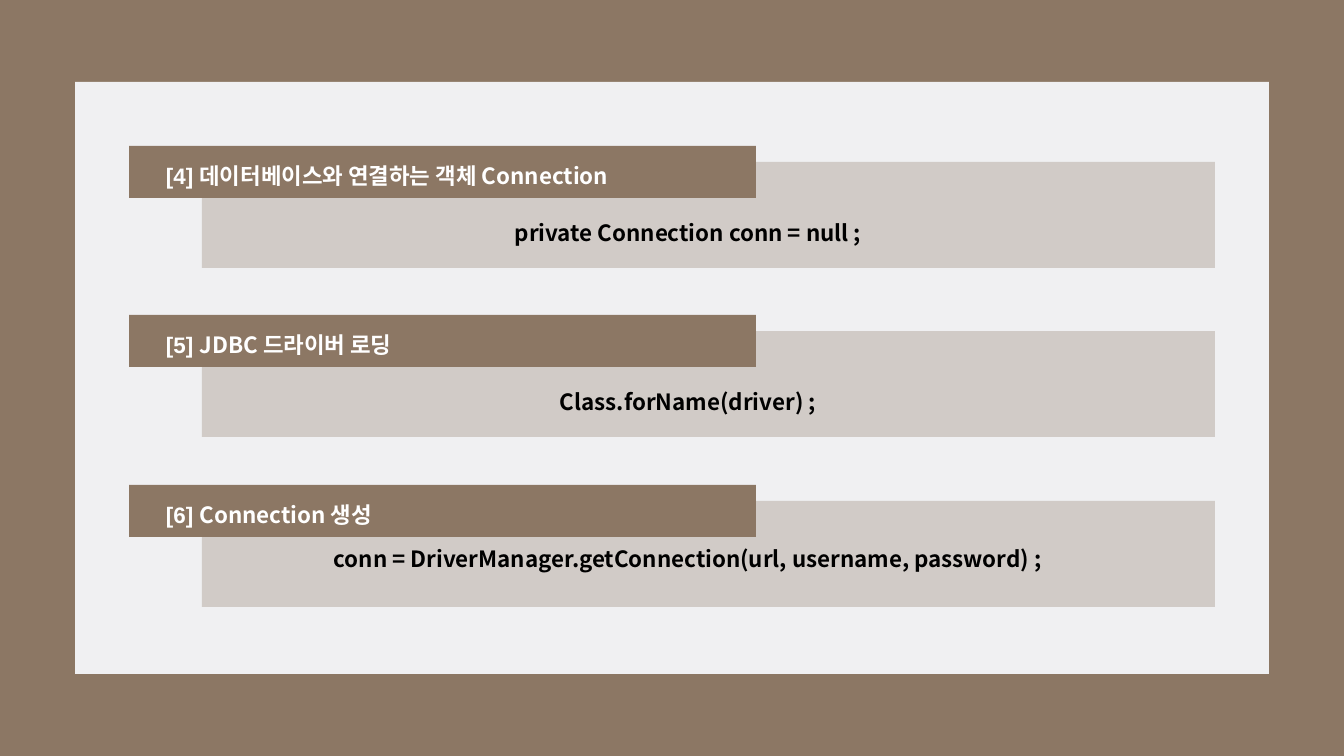
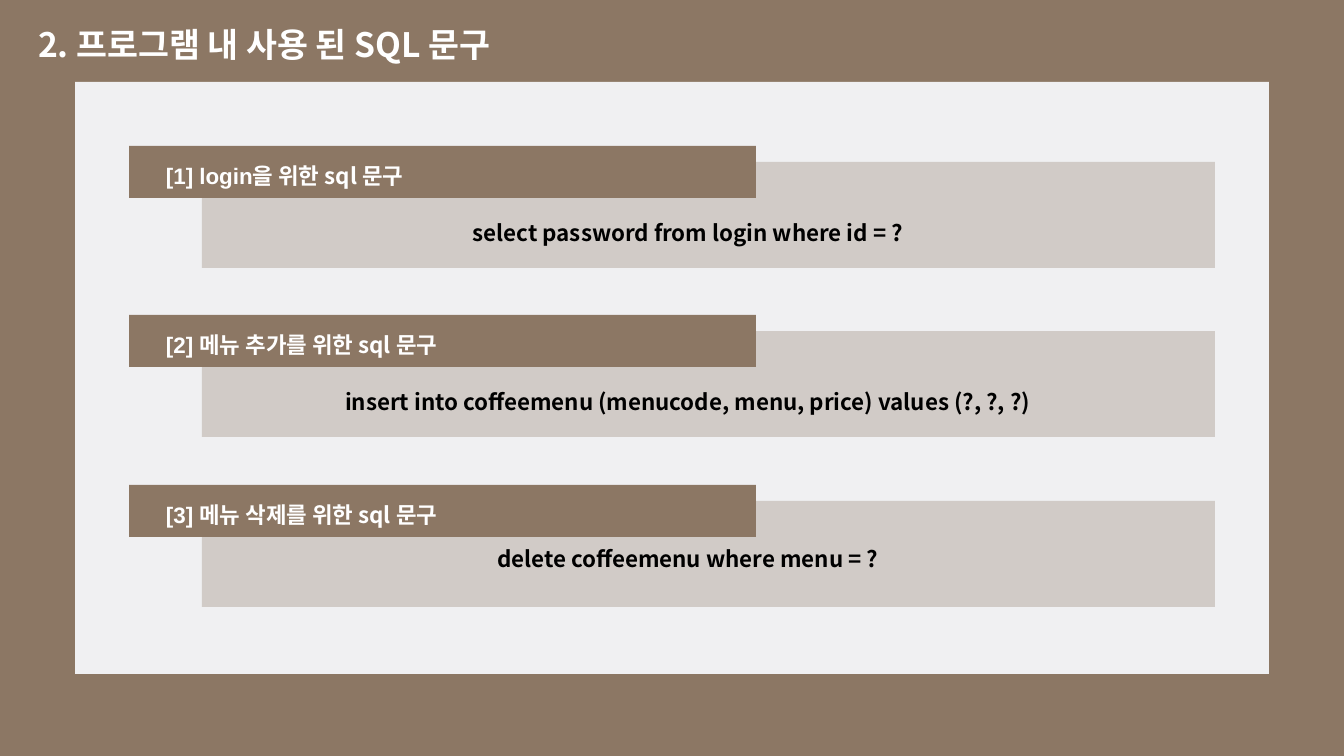
from lxml import etree
from pptx import Presentation
from pptx.dml.color import RGBColor
from pptx.enum.shapes import MSO_SHAPE
from pptx.enum.text import MSO_ANCHOR, MSO_AUTO_SIZE, PP_ALIGN
from pptx.oxml.ns import qn
from pptx.util import Pt

RECT = MSO_SHAPE.RECTANGLE
TOP = MSO_ANCHOR.TOP
GROW = MSO_AUTO_SIZE.SHAPE_TO_FIT_TEXT
LEFT, CENTER = PP_ALIGN.LEFT, PP_ALIGN.CENTER

W, H = 1344, 756
PX = 12192000 / W
BROWN, PANEL, WHITE, BLACK = "8C7764", "F0F0F2", "FFFFFF", "000000"
SANS, LATIN = "Noto Sans CJK KR", "Arial"

SLIDES = [
    ("", [
        ("[4] ", "데이터베이스와 연결하는 객체 Connection", "private Connection conn = null ;"),
        ("[5] ", "JDBC 드라이버 로딩", "Class.forName(driver) ;"),
        ("[6] ", "Connection 생성",
         "conn = DriverManager.getConnection(url, username, password) ;"),
    ]),
    ("2. 프로그램 내 사용 된 SQL 문구", [
        ("[1] login", "을 위한 sql 문구", "select password from login where id = ?"),
        ("[2] ", "메뉴 추가를 위한 sql 문구",
         "insert into coffeemenu (menucode, menu, price) values (?, ?, ?)"),
        ("[3] ", "메뉴 삭제를 위한 sql 문구", "delete coffeemenu where menu = ?"),
    ]),
]


def add_rect(s, box, color, alpha=100):
    sp = s.shapes.add_shape(RECT, *[round(v * PX) for v in box])
    sp.shadow.inherit = False
    sp.line.fill.background()
    sp.fill.solid()
    sp.fill.fore_color.rgb = RGBColor.from_string(color)
    if alpha < 100:
        clr = sp._element.spPr.find(qn("a:solidFill")).find(qn("a:srgbClr"))
        etree.SubElement(clr, qn("a:alpha"), val=str(alpha * 1000))


def put_text(sp, box, runs, size=16, color=WHITE, align=LEFT, spacing=1.5, wrap=True):
    sp.left, sp.top, sp.width, sp.height = [round(v * PX) for v in box]
    tf = sp.text_frame
    tf.word_wrap = wrap
    tf.auto_size = GROW
    tf.vertical_anchor = TOP
    p = tf.paragraphs[0]
    p.alignment = align
    p.line_spacing = spacing
    for text, font in runs:
        r = p.add_run()
        r.text = text
        r.font.name = font
        r.font.size = Pt(size)
        r.font.bold = True
        r.font.color.rgb = RGBColor.from_string(color)
        etree.SubElement(r._r.get_or_add_rPr(), qn("a:ea"), typeface=SANS)


prs = Presentation()
prs.slide_width, prs.slide_height = round(W * PX), round(H * PX)
background = prs.slide_master.background.fill
background.solid()
background.fore_color.rgb = RGBColor.from_string(BROWN)
title_only, blank = prs.slide_layouts[5], prs.slide_layouts[6]

for title, rows in SLIDES:
    s = prs.slides.add_slide(title_only if title else blank)
    add_rect(s, (75, 82, 1194, 592), PANEL)
    if title:
        put_text(s.shapes.title, (28, 19, 523, 50), [(title, SANS)],
                 size=24, spacing=1.0, wrap=False)
    for i, (label, heading, code) in enumerate(rows):
        y = 146 + 339 * i // 2
        add_rect(s, (129, y, 627, 52), BROWN)
        add_rect(s, (202, y + 16, 1013, 106), BROWN, alpha=30)
        last = i == len(rows) - 1
        put_text(s.shapes.add_textbox(0, 0, 0, 0), (220, y + 55, 936, 37 if last else 45),
                 [(code, SANS)], color=BLACK, align=CENTER, spacing=1.0 if last else 1.5)
        put_text(s.shapes.add_textbox(0, 0, 0, 0), (156, y - 2, 528, 50),
                 [(label, LATIN), (heading, SANS)])

prs.save("out.pptx")
